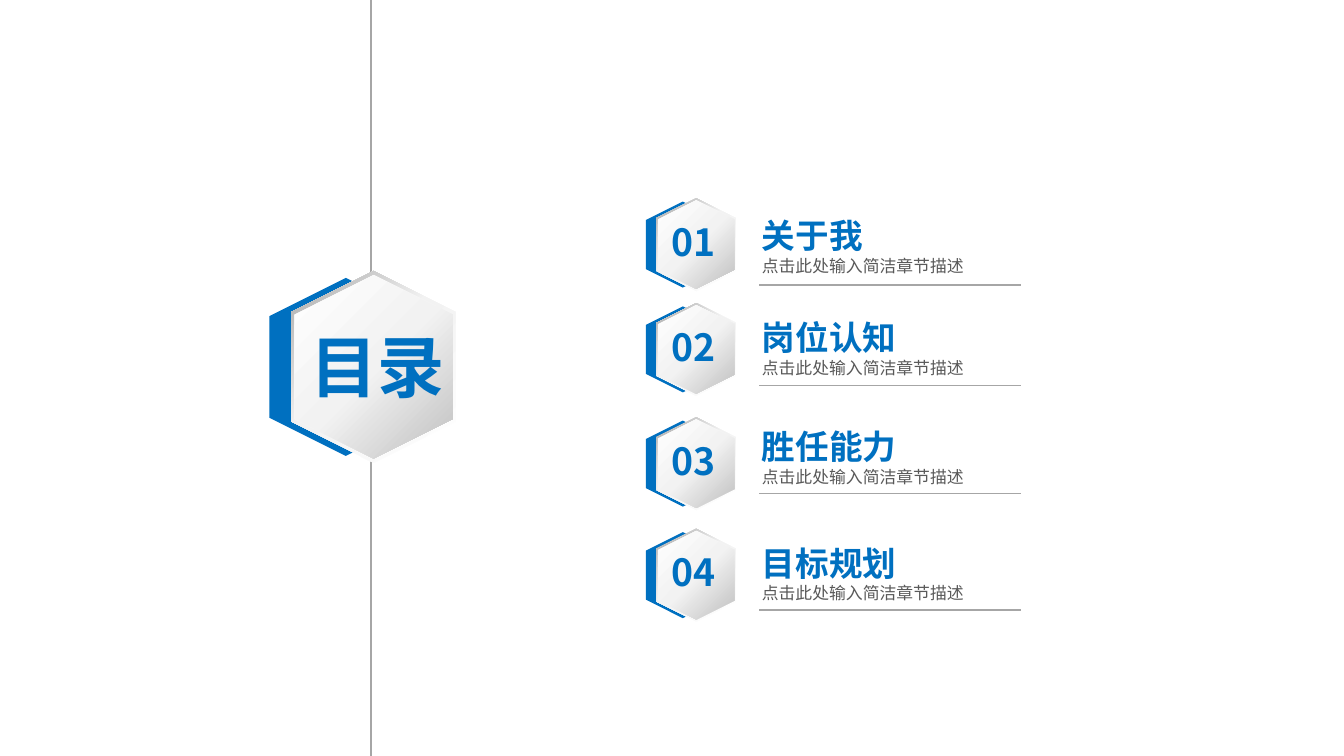
from copy import deepcopy

from lxml.etree import SubElement
from pptx import Presentation
from pptx.dml.color import RGBColor
from pptx.enum.shapes import MSO_CONNECTOR, MSO_SHAPE
from pptx.enum.text import MSO_AUTO_SIZE
from pptx.oxml.ns import qn
from pptx.util import Inches, Pt

HEADING = "目录"
DESCRIPTION = "点击此处输入简洁章节描述"
# number, title, badge centre y, text top, rule y
CHAPTERS = [
    ("01", "关于我", 1.82, 1.55, 2.12),
    ("02", "岗位认知", 2.6, 2.31, 2.87),
    ("03", "胜任能力", 3.45, 3.12, 3.67),
    ("04", "目标规划", 4.28, 3.99, 4.54),
]
COLORS = {"blue": "0070C0", "gray": "595959", "rule": "A6A6A6"}
RIM = [(0, "FFFFFF"), (55, "F2F2F2"), (100, "A6A6A6")]
FACE = [(0, "FFFFFF"), (51, "F2F2F2"), (100, "BFBFBF")]
# centre shift, width, height, gradient stops, gradient angle
BADGE_LAYERS = [
    (-0.1, 0.64, 0.55, None, 0),
    (0, 0.69, 0.59, RIM, 225),
    (0, 0.66, 0.57, FACE, 45),
]
FONT = "Noto Sans CJK SC"
SLIDE_W = 10
SLIDE_H = SLIDE_W * 9 / 16
SPINE_X = 2.76
RULE_LEFT, RULE_RIGHT = 5.65, 7.6

prs = Presentation()
prs.slide_width, prs.slide_height = Inches(SLIDE_W), Inches(SLIDE_H)
slide = prs.slides.add_slide(prs.slide_layouts[6])


def add_rule(x1, y1, x2, y2):
    rule = slide.shapes.add_connector(
        MSO_CONNECTOR.STRAIGHT, Inches(x1), Inches(y1), Inches(x2), Inches(y2))
    rule.line.color.rgb = RGBColor.from_string(COLORS["rule"])
    rule.line.width = Pt(0.75)
    SubElement(rule._element.spPr, qn("a:effectLst"))


def add_text(shapes, left, top, width, height, lines):
    """Add a text box; each line is (text, size, colour, bold)."""
    box = shapes.add_textbox(
        Inches(left), Inches(top), Inches(width), Inches(height))
    frame = box.text_frame
    frame.text = "\n".join(line[0] for line in lines)
    frame.word_wrap = False
    frame.auto_size = MSO_AUTO_SIZE.SHAPE_TO_FIT_TEXT
    for paragraph, (_, size, color, bold) in zip(frame.paragraphs, lines):
        for run in paragraph.runs:
            run.font.size, run.font.bold, run.font.name = Pt(size), bold, FONT
            run.font.color.rgb = RGBColor.from_string(COLORS[color])
            east_asian = SubElement(run._r.get_or_add_rPr(), qn("a:ea"))
            east_asian.set("typeface", FONT)


def fill_gradient(shape, stops, angle):
    shape.fill.gradient()
    shape.fill.gradient_angle = angle
    stop_list = shape._element.spPr.find(".//" + qn("a:gsLst"))
    stop_list.append(deepcopy(stop_list[-1]))
    for stop, (position, color) in zip(shape.fill.gradient_stops, stops):
        stop.position = position / 100
        stop.color.rgb = RGBColor.from_string(color)


def add_badge(center_x, center_y, scale=1):
    """Stack the hexagon layers in a group and return the group's shapes."""
    shapes = slide.shapes.add_group_shape().shapes
    for shift, width, height, stops, angle in BADGE_LAYERS:
        left = center_x + scale * (shift - width / 2)
        top = center_y - scale * height / 2
        hexagon = shapes.add_shape(
            MSO_SHAPE.HEXAGON, Inches(left), Inches(top),
            Inches(scale * width), Inches(scale * height))
        hexagon.rotation = 90
        hexagon.shadow.inherit = False
        hexagon.line.fill.background()
        if stops:
            fill_gradient(hexagon, stops, angle)
        else:
            hexagon.fill.solid()
            hexagon.fill.fore_color.rgb = RGBColor.from_string(COLORS["blue"])
    return shapes


add_rule(SPINE_X, 0, SPINE_X, SLIDE_H)
add_badge(2.78, 2.73, scale=2.07)
add_text(slide.shapes, 2.21, 2.37, 1.21, 0.71, [(HEADING, 36, "blue", True)])

for number, title, badge_y, text_top, rule_y in CHAPTERS:
    add_text(slide.shapes, 5.57, text_top, 1.72, 0.56,
             [(title, 18, "blue", True), (DESCRIPTION, 9, "gray", False)])
    add_rule(RULE_LEFT, rule_y, RULE_RIGHT, rule_y)
    badge = add_badge(5.18, badge_y)
    add_text(badge, 4.9, badge_y - 0.24, 0.55, 0.44,
             [(number, 20, "blue", True)])

prs.save("out.pptx")
